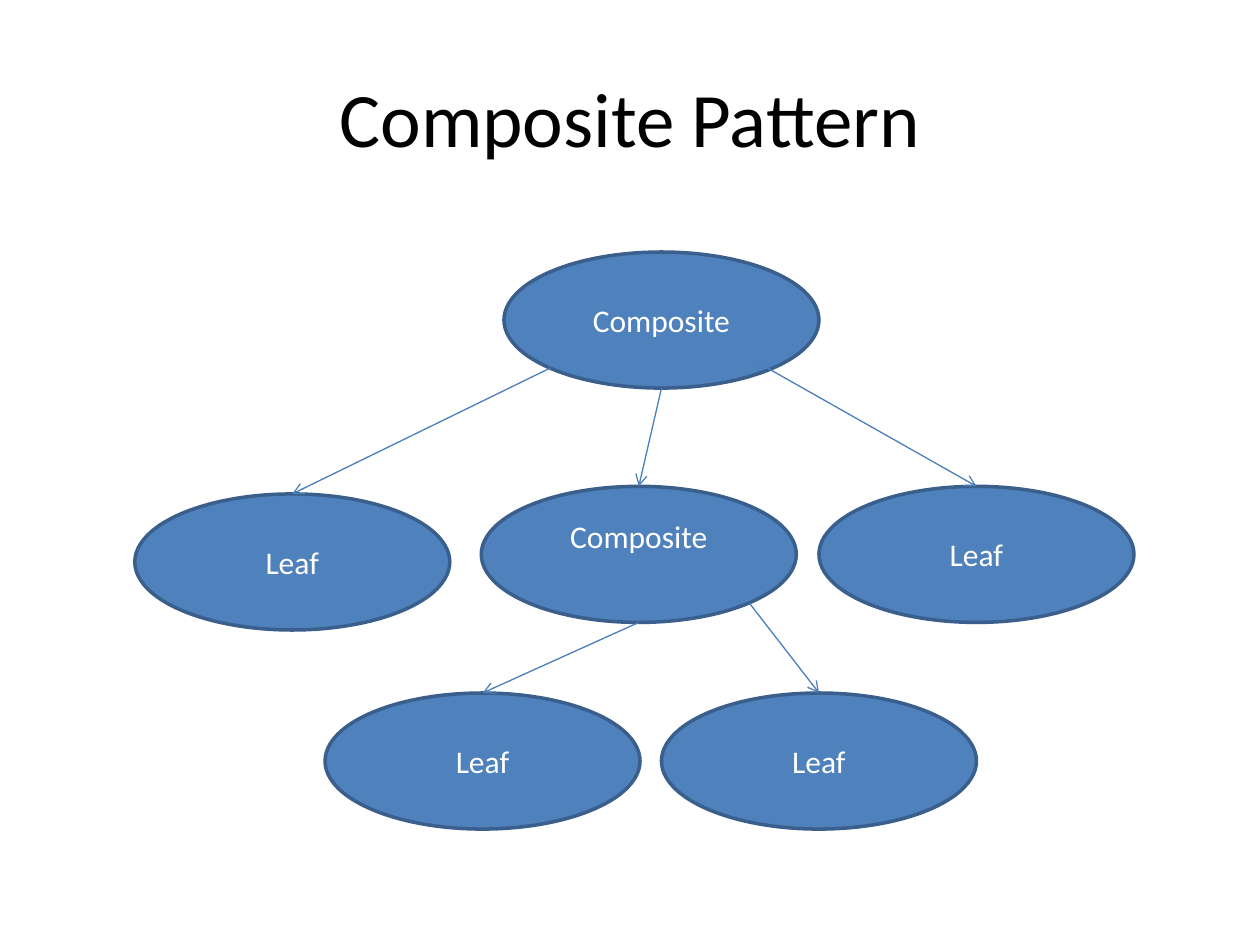
from lxml.etree import SubElement
from pptx import Presentation
from pptx.dml.color import RGBColor
from pptx.enum.shapes import MSO_CONNECTOR, MSO_SHAPE
from pptx.enum.text import MSO_ANCHOR, PP_ALIGN
from pptx.oxml.ns import qn
from pptx.util import Inches, Pt

THEME = {
    "font": "Calibri",
    "title": (44, "000000"),
    "label": (18, "FFFFFF"),
    "fill": "4F81BD",
    "outline": ("3A5F8C", 2),
    "arrow": ("4B7EBC", 0.75),
}
TITLE = "Composite Pattern"
NODE_W, NODE_H = 2.5, 1.08
LABEL_INSET, RAISED_INSET = 0.05, 0.35

NODES = {
    "root": ("Composite", 4, 2, LABEL_INSET),
    "lower right": ("Leaf", 5.25, 5.5, LABEL_INSET),
    "right": ("Leaf", 6.5, 3.86, LABEL_INSET),
    "middle": ("Composite", 3.82, 3.86, RAISED_INSET),
    "left": ("Leaf", 1.07, 3.92, LABEL_INSET),
    "lower left": ("Leaf", 2.58, 5.5, LABEL_INSET),
}
ARROWS = [
    ((4.37, 2.92), "left"),
    ((5.25, 3.08), "middle"),
    ((6, 2.87), "right"),
    ((5.07, 4.94), "lower left"),
    ((5.95, 4.79), "lower right"),
]


def write(frame, text, style):
    size, color = THEME[style]
    frame.text = text
    frame.word_wrap = True
    frame.vertical_anchor = MSO_ANCHOR.MIDDLE
    paragraph = frame.paragraphs[0]
    paragraph.alignment = PP_ALIGN.CENTER
    font = paragraph.runs[0].font
    font.name, font.size = THEME["font"], Pt(size)
    font.color.rgb = RGBColor.from_string(color)


def stroke(line, style):
    color, width = THEME[style]
    line.color.rgb = RGBColor.from_string(color)
    line.width = Pt(width)


def add_node(slide, label, left, top, bottom_inset):
    node = slide.shapes.add_shape(
        MSO_SHAPE.OVAL, Inches(left), Inches(top), Inches(NODE_W), Inches(NODE_H))
    node.shadow.inherit = False
    node.fill.solid()
    node.fill.fore_color.rgb = RGBColor.from_string(THEME["fill"])
    stroke(node.line, "outline")
    write(node.text_frame, label, "label")
    node.text_frame.margin_bottom = Inches(bottom_inset)
    return node


def add_arrow(slide, start, child):
    x, y = map(Inches, start)
    arrow = slide.shapes.add_connector(MSO_CONNECTOR.STRAIGHT, x, y, x, y)
    arrow.end_connect(child, 0)
    stroke(arrow.line, "arrow")
    SubElement(arrow.line._get_or_add_ln(), qn("a:tailEnd"), type="arrow")
    SubElement(arrow._element.spPr, qn("a:effectLst"))


def main():
    deck = Presentation()
    deck.slide_width, deck.slide_height = Inches(10), Inches(7.5)
    slide = deck.slides.add_slide(deck.slide_layouts[5])

    title = slide.shapes.title
    title.left, title.top = Inches(0.5), Inches(0.3)
    title.width, title.height = Inches(9), Inches(1.25)
    write(title.text_frame, TITLE, "title")

    nodes = {key: add_node(slide, *node) for key, node in NODES.items()}
    for start, child in ARROWS:
        add_arrow(slide, start, nodes[child])
    deck.save("out.pptx")


if __name__ == "__main__":
    main()
